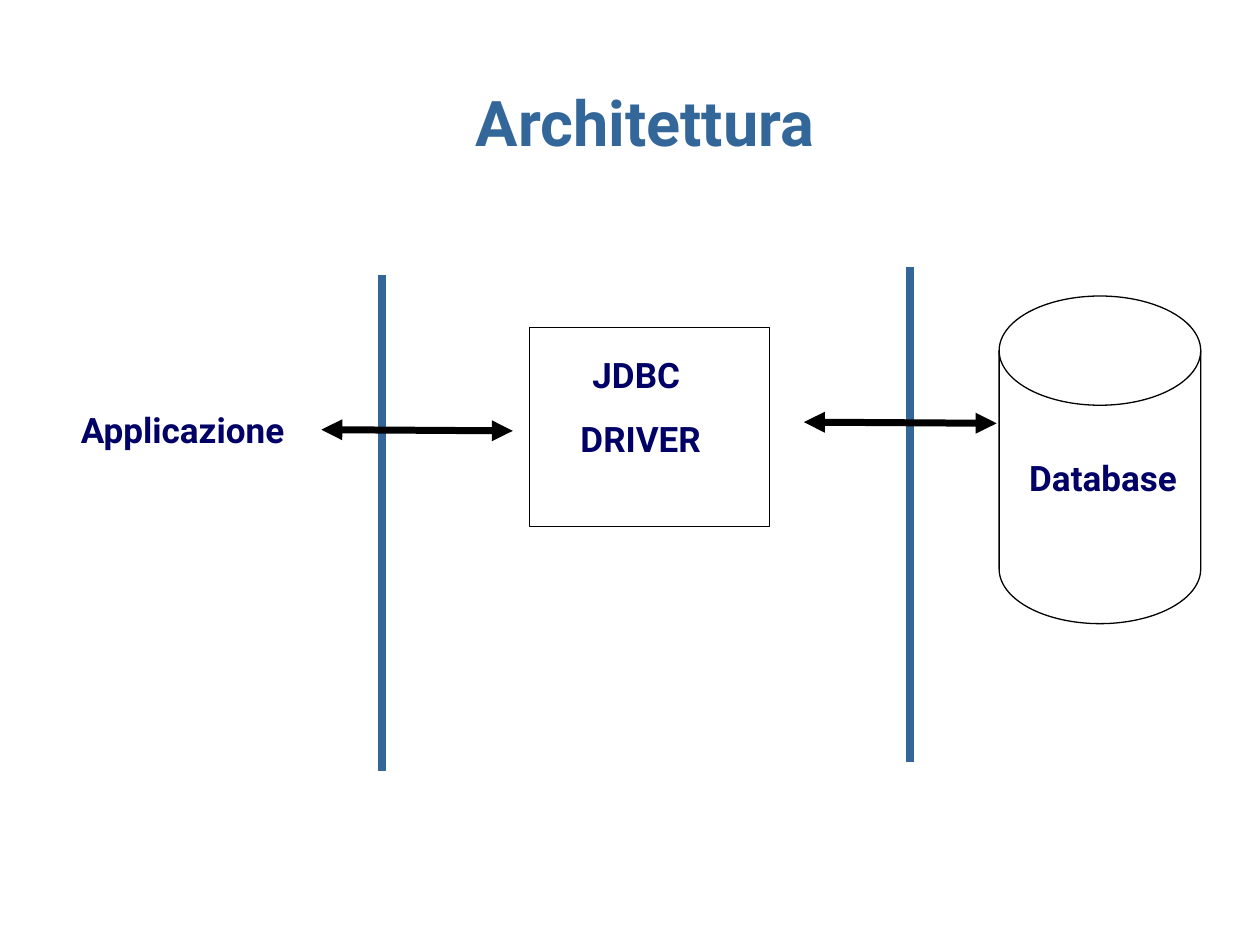
from lxml import etree
from pptx import Presentation
from pptx.dml.color import RGBColor
from pptx.enum.shapes import MSO_CONNECTOR, MSO_SHAPE
from pptx.enum.text import MSO_ANCHOR, PP_ALIGN
from pptx.oxml.ns import qn
from pptx.util import Inches, Pt

STRAIGHT = MSO_CONNECTOR.STRAIGHT
RECTANGLE = MSO_SHAPE.RECTANGLE
DISK = MSO_SHAPE.FLOWCHART_MAGNETIC_DISK
MIDDLE = MSO_ANCHOR.MIDDLE
TOP = MSO_ANCHOR.TOP
CENTER = PP_ALIGN.CENTER

BLUE = RGBColor(0x33, 0x66, 0x99)
NAVY = RGBColor(0x00, 0x00, 0x66)
BLACK = RGBColor(0x00, 0x00, 0x00)
FONT = "Roboto"


def write_line(para, text, size, color):
    para.alignment = CENTER
    span = para.add_run()
    span.text = text
    span.font.name = FONT
    span.font.size = Pt(size)
    span.font.bold = True
    span.font.color.rgb = color


def draw_line(start, end, color, width):
    points = [Inches(value) for value in (*start, *end)]
    connector = slide.shapes.add_connector(STRAIGHT, *points)
    connector.line.color.rgb = color
    connector.line.width = Pt(width)
    etree.SubElement(connector._element.spPr, qn("a:effectLst"))
    return connector


deck = Presentation()
deck.slide_width = Inches(10)
deck.slide_height = Inches(7.5)
slide = deck.slides.add_slide(deck.slide_layouts[5])

# Title
title = slide.shapes.title
title.left, title.top = Inches(2.08), Inches(0.5)
title.width, title.height = Inches(6.08), Inches(0.92)
title.text_frame.vertical_anchor = MIDDLE
write_line(title.text_frame.paragraphs[0], "Architettura", 36, BLUE)

# Vertical boundaries between the three tiers
for x, top, bottom in [(7.22, 2.12, 6.05), (3.03, 2.18, 6.12)]:
    draw_line((x, top), (x, bottom), BLUE, 4.5)

# Driver box and database cylinder
for kind, bounds in [
    (RECTANGLE, (4.2, 2.6, 1.91, 1.58)),
    (DISK, (7.93, 2.35, 1.6, 2.6)),
]:
    outline = slide.shapes.add_shape(kind, *[Inches(value) for value in bounds])
    outline.shadow.inherit = False
    outline.fill.background()
    outline.line.color.rgb = BLACK
    outline.line.width = Pt(0.75)

# Two-way arrows across the boundaries
for start, end in [((2.55, 3.41), (4.07, 3.42)), ((6.38, 3.35), (7.91, 3.36))]:
    arrow = draw_line(start, end, BLACK, 4)
    line_xml = arrow.line._get_or_add_ln()
    for tag in ("a:headEnd", "a:tailEnd"):
        etree.SubElement(line_xml, qn(tag), type="triangle")

# Tier labels
for bounds, lines, wrap in [
    ((0.47, 3.19, 1.96, 0.43), ["Applicazione"], False),
    ((4.08, 2.76, 2.01, 1.43), ["JDBC ", "DRIVER"], True),
    ((8, 3.57, 1.51, 0.43), ["Database"], False),
]:
    label = slide.shapes.add_textbox(*[Inches(value) for value in bounds])
    frame = label.text_frame
    frame.word_wrap = wrap
    frame.vertical_anchor = TOP
    for index, text in enumerate(lines):
        para = frame.add_paragraph() if index else frame.paragraphs[0]
        para.space_before = Pt(12.5)
        write_line(para, text, 20, NAVY)

deck.save("out.pptx")
